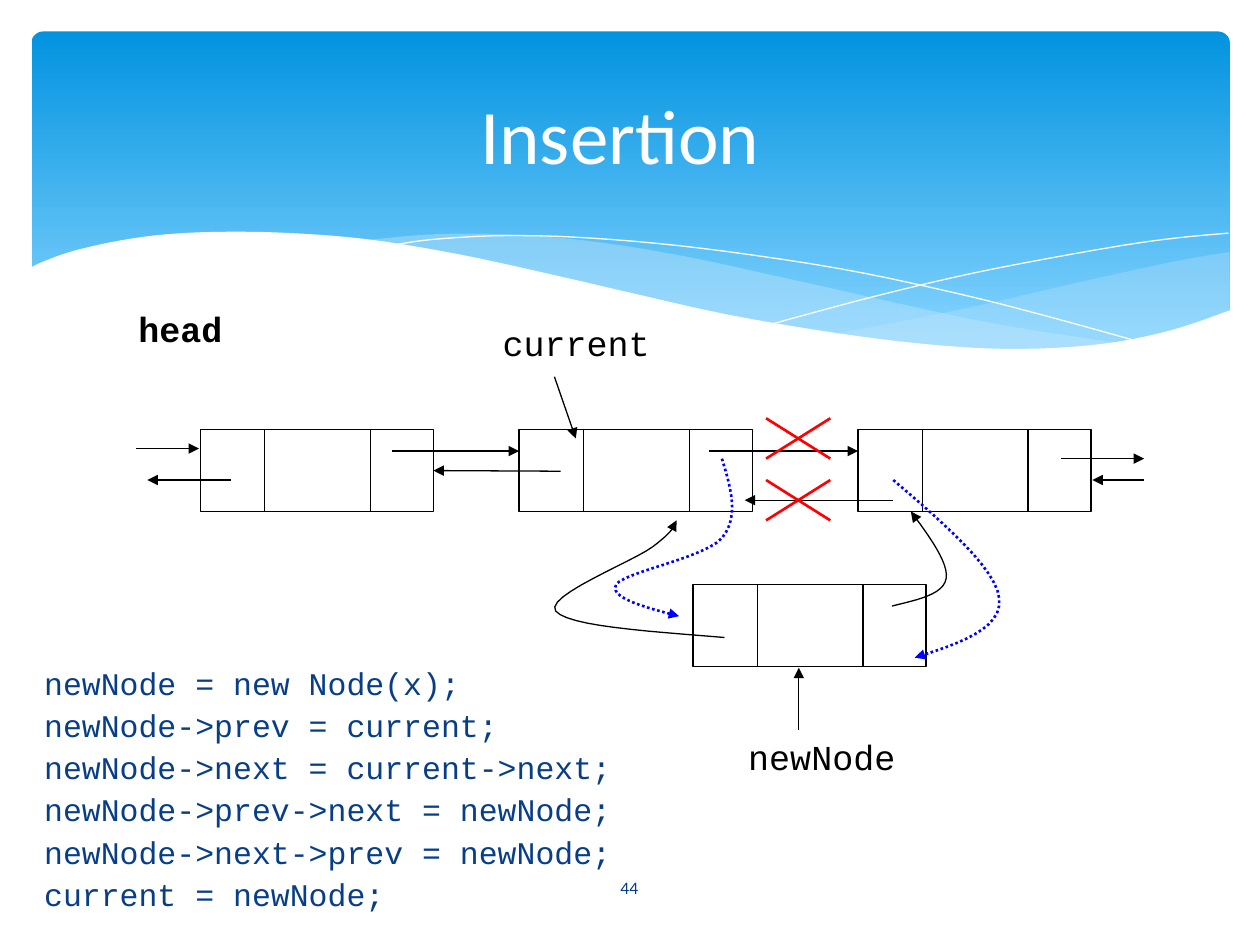
import pptx
import pptx.util
import pptx.dml.color
import pptx.enum.dml
import pptx.enum.shapes
import pptx.enum.text
import pptx.oxml.ns
import lxml.etree

Inches, Pt = pptx.util.Inches, pptx.util.Pt
qn = pptx.oxml.ns.qn

COLORS = {"sky": "0293E0", "sky_light": "83D3FE", "wave": "C6E7FC", "white": "FFFFFF",
          "black": "000000", "navy": "073E87", "red": "FF0000", "blue": "0000FF"}
MONO, SANS = "Courier New", "Calibri"

# Content
TITLE = "Insertion"
CODE = ["newNode = new Node(x);",
        "newNode->prev = current;",
        "newNode->next = current->next;",
        "newNode->prev->next = newNode;",
        "newNode->next->prev = newNode;",
        "current = newNode;"]
PAGE_NUMBER = "44"
LABELS = [("head", 1, 2.39, 1.18, 0.49, True),
          ("current", 3.89, 2.5, 2.02, 0.49, False),
          ("newNode", 5.84, 5.79, 2.5, 0.38, False)]

# Linked list: node corners, cell dividers, pointers and cut links
NODE_W, NODE_H = 1.85, 0.65
DIVIDERS = (0.51, 1.35)
NODES = {"first": (1.59, 3.41), "current": (4.12, 3.41),
         "next": (6.81, 3.41), "new": (5.5, 4.64)}
POINTERS = [((3.11, 3.58), (4.12, 3.58)), ((5.63, 3.58), (6.81, 3.58)),
            ((7.09, 3.97), (5.91, 3.97)), ((4.4, 2.99), (4.57, 3.48)),
            ((6.34, 5.79), (6.34, 5.3)), ((8.42, 3.64), (9.08, 3.64)),
            ((1.08, 3.56), (1.58, 3.56)), ((9.08, 3.81), (8.67, 3.81)),
            ((1.83, 3.81), (1.17, 3.81))]
CROSS_LEFT, CROSS_W, CROSS_H = 6.08, 0.51, 0.32
CROSS_TOPS = (3.32, 3.81)

# Curved pointers: start point, then Bezier triples; dotted ones are the relinked pointers
CURVES = [
    ([(5.73, 3.64), (5.8, 3.87), (5.87, 4.1), (5.73, 4.27), (5.59, 4.43), (4.95, 4.54),
      (4.89, 4.64), (4.83, 4.74), (5.11, 4.82), (5.39, 4.89)], True),
    ([(5.75, 5.06), (5.13, 5.01), (4.51, 4.97), (4.41, 4.85), (4.32, 4.73), (5.02, 4.46),
      (5.18, 4.34), (5.34, 4.22), (5.35, 4.18), (5.37, 4.13)], False),
    ([(7.08, 4.81), (7.28, 4.76), (7.49, 4.72), (7.51, 4.59), (7.53, 4.47), (7.38, 4.26),
      (7.23, 4.06)], False),
    ([(7.09, 3.81), (7.5, 4.16), (7.91, 4.52), (7.93, 4.75), (7.96, 4.99), (7.61, 5.11),
      (7.26, 5.22)], True)]

# Header waves: points that a smooth edge passes through
RIGHT_WAVE = ([(9.76, 2), (9.35, 2.07), (8.61, 2.23), (7.79, 2.42), (7.06, 2.57), (6.61, 2.65)],
              [(6.61, 2.65), (7.05, 2.71), (7.57, 2.76), (8.14, 2.78), (8.72, 2.74),
               (9.21, 2.65), (9.76, 2.47)])
LEFT_WAVE = ([(8.93, 2.73), (8.07, 2.6), (7.41, 2.47), (6.29, 2.22), (5.41, 2.03),
              (4.65, 1.91), (3.99, 1.86), (3.44, 1.86), (2.86, 1.91)],
             [(2.86, 1.91), (3.62, 2.03), (4.49, 2.22), (5.3, 2.4), (6.18, 2.58),
              (6.95, 2.7), (7.61, 2.77), (8.18, 2.78), (8.93, 2.73)])
HAIRLINES = [[(3.09, 1.95), (3.44, 1.9), (4.01, 1.87), (4.69, 1.89), (5.56, 1.97),
              (6.65, 2.13), (7.6, 2.33), (8.31, 2.51), (9.07, 2.72)],
             [(6.13, 2.57), (6.95, 2.35), (7.76, 2.16), (8.66, 1.99), (9.24, 1.9), (9.75, 1.85)]]
WHITE_EDGE = [(9.77, 2.46), (9.3, 2.62), (8.75, 2.73), (8.09, 2.77), (7.44, 2.74), (6.68, 2.65),
              (5.79, 2.5), (5.03, 2.33), (4.47, 2.2), (3.65, 2.02), (2.92, 1.9), (2.3, 1.85),
              (1.77, 1.84), (1.32, 1.86), (0.95, 1.91), (0.59, 1.99), (0.36, 2.07), (0.23, 2.13)]

prs = pptx.Presentation()
prs.slide_width, prs.slide_height = Inches(10), Inches(7.5)
slide = prs.slides.add_slide(prs.slide_layouts[1])
shapes = slide.shapes


def rgb(name):
    return pptx.dml.color.RGBColor.from_string(COLORS[name])


def bezier(controls, steps=12):
    """Points along a chain of cubic curves."""
    points = [controls[0]]
    for i in range(0, len(controls) - 1, 3):
        a, b, c, d = controls[i:i + 4]
        for t in (n / steps for n in range(1, steps + 1)):
            s = 1 - t
            points.append(tuple(s**3 * a[k] + 3 * s * s * t * b[k] + 3 * s * t * t * c[k]
                                + t**3 * d[k] for k in (0, 1)))
    return points


def through(knots):
    """Points along a smooth curve that passes through the knots."""
    padded = [knots[0], *knots, knots[-1]]
    controls = [knots[0]]
    for before, a, b, after in zip(padded, padded[1:], padded[2:], padded[3:]):
        controls += [tuple(a[k] + (b[k] - before[k]) / 6 for k in (0, 1)),
                     tuple(b[k] - (after[k] - a[k]) / 6 for k in (0, 1)), b]
    return bezier(controls, 5)


def style_line(line, color, width, arrow=False):
    line.color.rgb = rgb(color)
    line.width = Pt(width)
    if arrow:
        lxml.etree.SubElement(line._get_or_add_ln(), qn("a:tailEnd"), type="triangle")


def outline(points, closed=False, fill=None, alpha=None):
    builder = shapes.build_freeform(*map(Inches, points[0]), scale=1.0)
    builder.add_line_segments([tuple(map(Inches, p)) for p in points[1:]], close=closed)
    form = builder.convert_to_shape()
    form.shadow.inherit = False
    if fill:
        form.fill.solid()
        form.fill.fore_color.rgb = rgb(fill)
        form.line.fill.background()
    else:
        form.fill.background()
    if alpha:
        tint = form.fill._xPr.find(".//" + qn("a:srgbClr"))
        lxml.etree.SubElement(tint, qn("a:alpha"), val=str(alpha * 1000))
    return form


def segment(start, end, color="black", width=0.75, arrow=False):
    link = shapes.add_connector(pptx.enum.shapes.MSO_CONNECTOR.STRAIGHT,
                                *map(Inches, (*start, *end)))
    style_line(link.line, color, width, arrow)
    lxml.etree.SubElement(link._element.spPr, qn("a:effectLst"))
    return link


def style_text(paragraph, font, size, color, bold=False):
    paragraph.font.name, paragraph.font.size = font, Pt(size)
    paragraph.font.bold, paragraph.font.color.rgb = bold, rgb(color)


def place(box, left, top, width, height):
    box.left, box.top, box.width, box.height = map(Inches, (left, top, width, height))
    box.text_frame.word_wrap = True
    box.text_frame.auto_size = pptx.enum.text.MSO_AUTO_SIZE.NONE


def text_box(text, left, top, width, height):
    box = shapes.add_textbox(0, 0, 0, 0)
    place(box, left, top, width, height)
    box.text_frame.text = text
    return box.text_frame


# Header backdrop
banner = shapes.add_shape(pptx.enum.shapes.MSO_SHAPE.ROUNDED_RECTANGLE,
                          *map(Inches, (0.25, 0.25, 9.51, 2.7)))
banner.adjustments[0] = 0.034
banner.shadow.inherit = False
banner.fill.gradient()
banner.fill.gradient_angle = 270
for stop, color, position in zip(banner.fill.gradient_stops, ("sky", "sky_light"), (0, 0.9)):
    stop.color.rgb, stop.position = rgb(color), position
banner.line.fill.background()
for (upper, lower), alpha in ((RIGHT_WAVE, 29), (LEFT_WAVE, 40)):
    outline(through(upper) + through(lower), True, "wave", alpha)
for knots in HAIRLINES:
    style_line(outline(through(knots)).line, "white", 0)
outline(through(WHITE_EDGE) + [(0.23, 3.29), (9.77, 3.29)], True, "white")

# Title and code, moved in front of the backdrop
title, code = shapes.title, slide.placeholders[1]
for holder in (title, code):
    shapes._spTree.append(holder._element)
place(title, 0.42, 0.38, 9, 1.37)
title.text_frame.text = TITLE
title.text_frame.vertical_anchor = pptx.enum.text.MSO_ANCHOR.MIDDLE
style_text(title.text_frame.paragraphs[0], SANS, 44, "white")
title.text_frame.paragraphs[0].alignment = pptx.enum.text.PP_ALIGN.CENTER
place(code, 0.25, 5.25, 9.25, 2.17)
code.text_frame.text = "\n".join(CODE)
for statement in code.text_frame.paragraphs:
    style_text(statement, MONO, 18, "navy")
    statement.line_spacing, statement.space_before = 0.9, Pt(4.7)
    props = statement._p.get_or_add_pPr()
    props.set("marL", "0")
    props.set("indent", "0")
    props.insert_element_before(props.makeelement(qn("a:buNone")), "a:tabLst", "a:defRPr")

# Page number
number = text_box(PAGE_NUMBER, 4.36, 6.84, 1.27, 0.4)
number.vertical_anchor = pptx.enum.text.MSO_ANCHOR.MIDDLE
number.paragraphs[0].alignment = pptx.enum.text.PP_ALIGN.CENTER
style_text(number.paragraphs[0], SANS, 10, "navy")

# Nodes
nodes = {}
for name, (left, top) in NODES.items():
    node = nodes[name] = shapes.add_shape(pptx.enum.shapes.MSO_SHAPE.RECTANGLE,
                                          *map(Inches, (left, top, NODE_W, NODE_H)))
    node.shadow.inherit = False
    node.fill.solid()
    node.fill.fore_color.rgb = rgb("white")
    style_line(node.line, "black", 0.75)
    for offset in DIVIDERS:
        segment((left + offset, top), (left + offset, top + NODE_H))

# Pointers, cut links and labels
for start, end in POINTERS:
    segment(start, end, arrow=True)
segment((4.45, 3.74), (3.44, 3.74), arrow=True).end_connect(nodes["first"], 3)
for top in CROSS_TOPS:
    for y1, y2 in ((top, top + CROSS_H), (top + CROSS_H, top)):
        segment((CROSS_LEFT, y1), (CROSS_LEFT + CROSS_W, y2), "red", 1.5)
for controls, relinked in CURVES:
    curve = outline(bezier(controls))
    if relinked:
        curve.line.dash_style = pptx.enum.dml.MSO_LINE.ROUND_DOT
    style_line(curve.line, *(("blue", 1.5) if relinked else ("black", 0.75)), arrow=True)
for text, left, top, width, height, bold in LABELS:
    style_text(text_box(text, left, top, width, height).paragraphs[0], MONO, 20, "black", bold)

prs.save("out.pptx")
